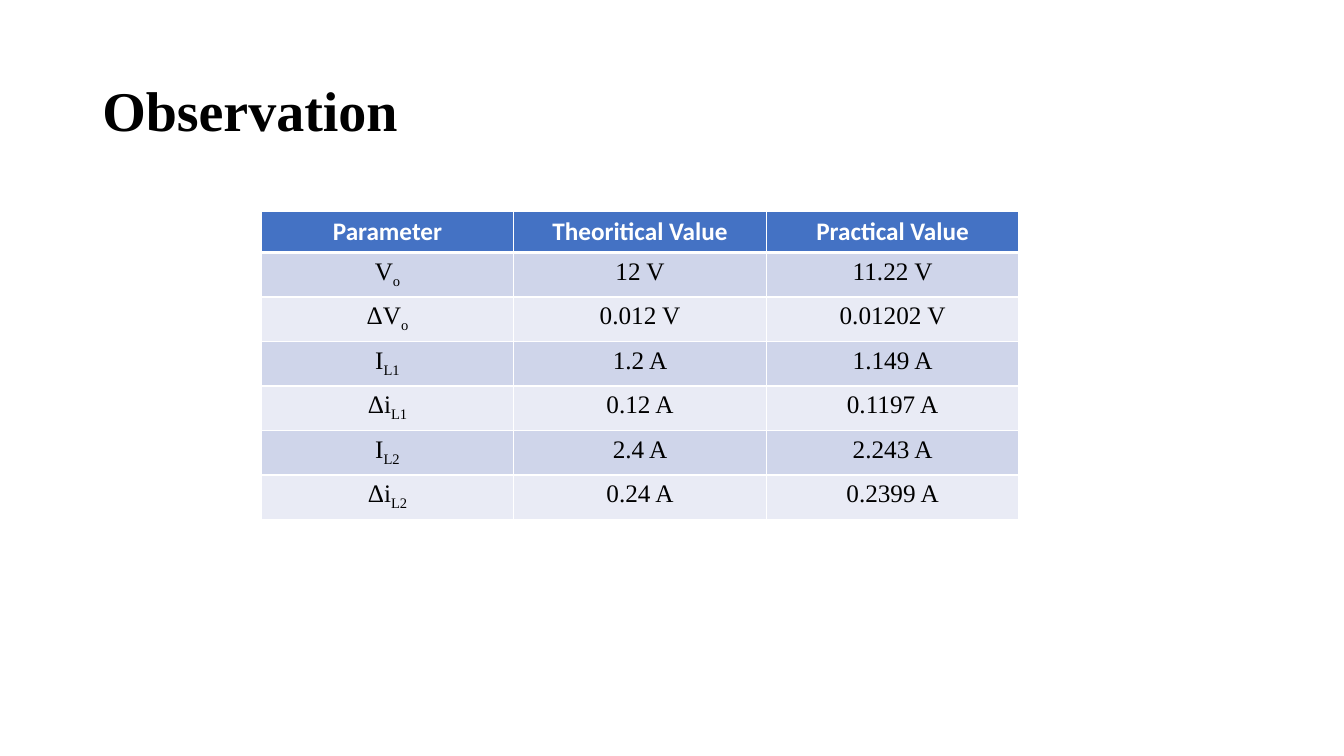
"""Build the Observation slide with its table of theoretical and practical values."""
from lxml import etree
from pptx import Presentation
from pptx.dml.color import RGBColor
from pptx.enum import text as t
from pptx.oxml import ns
from pptx.util import Pt

WHITE = RGBColor(0xFF, 0xFF, 0xFF)
BLACK = RGBColor(0x00, 0x00, 0x00)
BLUE = RGBColor(0x44, 0x72, 0xC4)
BANDS = [RGBColor(0xE9, 0xEB, 0xF5), RGBColor(0xCF, 0xD5, 0xEA)]
SERIF = "Times New Roman"

ROWS = [
    (("Parameter", ""), "Theoritical Value", "Practical Value"),
    (("V", "o"), "12 V", "11.22 V"),
    (("ΔV", "o"), "0.012 V", "0.01202 V"),
    (("I", "L1"), "1.2 A", "1.149 A"),
    (("Δi", "L1"), "0.12 A", "0.1197 A"),
    (("I", "L2"), "2.4 A", "2.243 A"),
    (("Δi", "L2"), "0.24 A", "0.2399 A"),
]


def style(run, face, size, color, bold):
    run.font.name = face
    run.font.size = Pt(size)
    run.font.color.rgb = color
    run.font.bold = bold


def edge(cell, side, width):
    line = etree.SubElement(cell._tc.get_or_add_tcPr(), ns.qn("a:ln" + side), w=str(Pt(width)))
    fill = etree.SubElement(line, ns.qn("a:solidFill"))
    etree.SubElement(fill, ns.qn("a:srgbClr"), val=str(WHITE))


prs = Presentation()
prs.slide_width, prs.slide_height = Pt(960), Pt(540)
slide = prs.slides.add_slide(prs.slide_layouts[6])

title = slide.shapes.add_textbox(Pt(66), Pt(28.75), Pt(828), Pt(104.4))
frame = title.text_frame
frame.word_wrap = True
frame.vertical_anchor = t.MSO_ANCHOR.MIDDLE
frame.text = "Observation"
frame.paragraphs[0].line_spacing = 0.9
style(frame.paragraphs[0].runs[0], SERIF, 40, BLACK, True)

table = slide.shapes.add_table(
    len(ROWS), 3, Pt(186.6), Pt(151.2), Pt(541.2), Pt(204.4)).table
for col in table.columns:
    col.width = Pt(180.4)

for r, row in enumerate(ROWS):
    head = r == 0
    table.rows[r].height = Pt(29.2)
    for c, value in enumerate(row):
        cell = table.cell(r, c)
        for side in "LRTB":
            thick = (head and side == "B") or (r == 1 and side == "T")
            edge(cell, side, 3 if thick else 1)
        cell.fill.solid()
        cell.fill.fore_color.rgb = BLUE if head else BANDS[r % 2]
        base, sub = value if c == 0 else (value, "")
        cell.text_frame.text = base
        para = cell.text_frame.paragraphs[0]
        para.alignment = t.PP_ALIGN.CENTER
        if sub:
            low = para.add_run()
            low.text = sub
            low.font._element.set("baseline", "-25000")
        for run in para.runs:
            style(run, "Calibri" if head else SERIF, 18, WHITE if head else BLACK, head)

prs.save("out.pptx")
